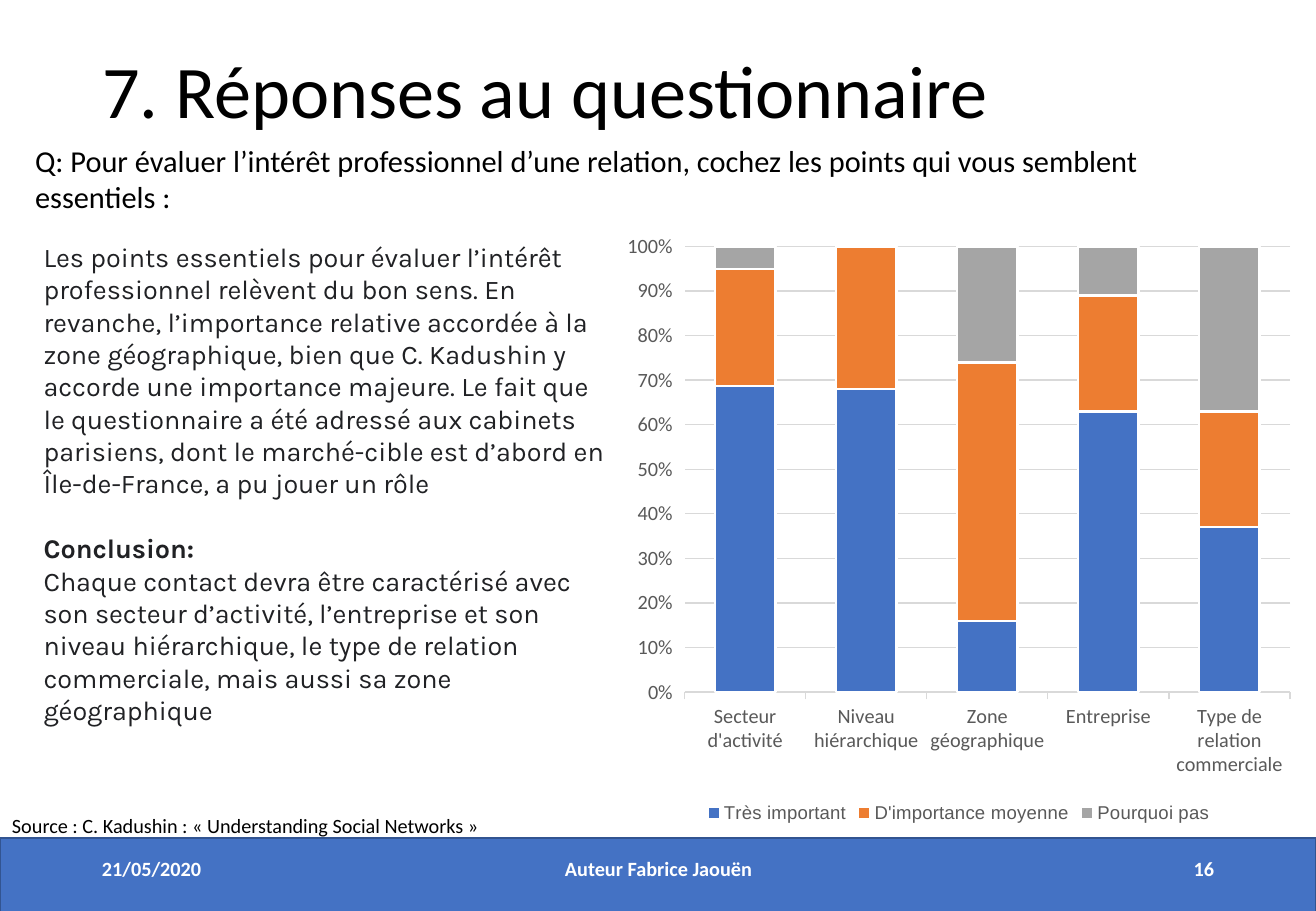
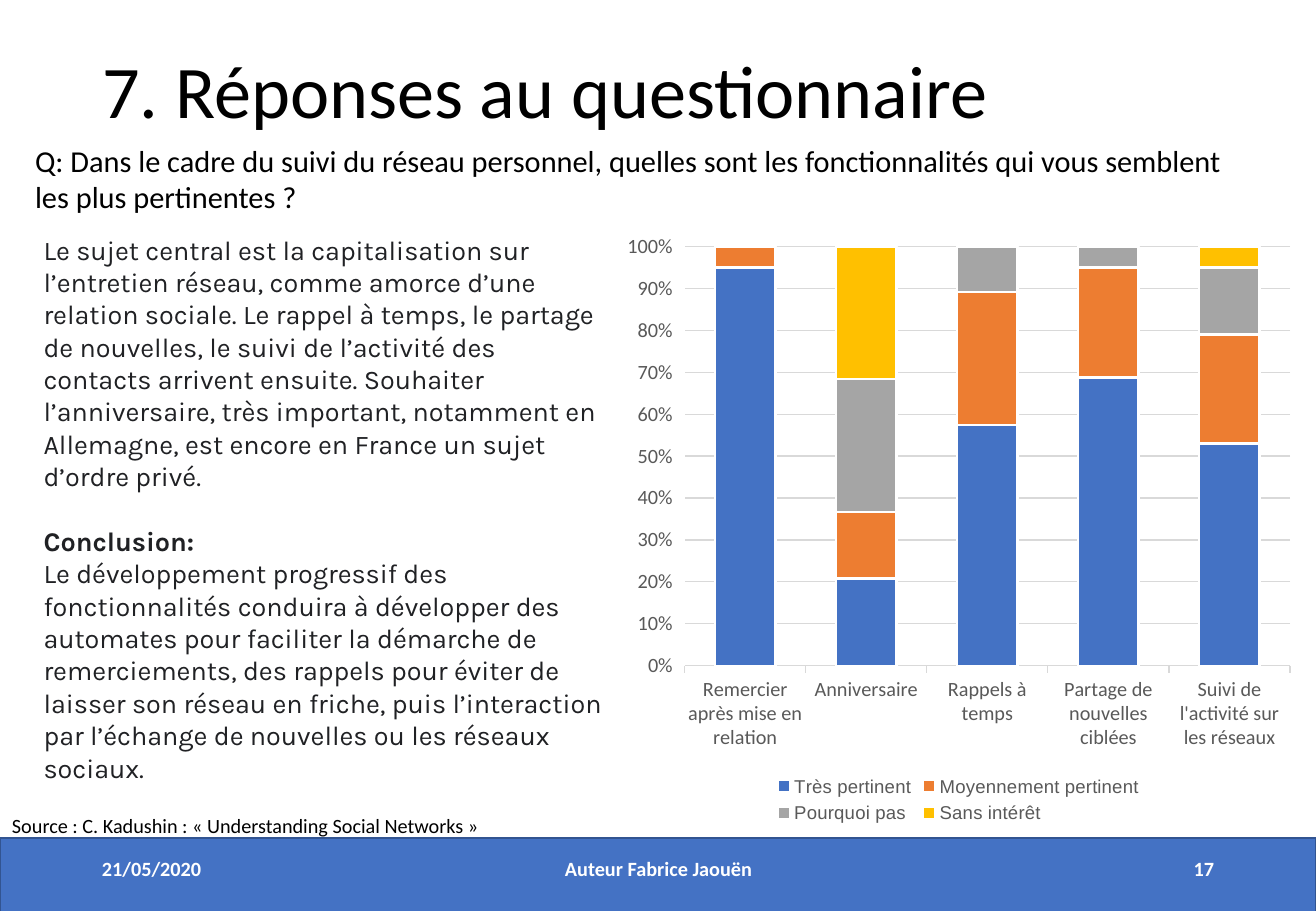
from pptx import Presentation
from pptx.chart.data import CategoryChartData
from pptx.dml.color import RGBColor
from pptx.enum import chart as ch, shapes, text
from pptx.util import Inches, Pt

# Shared style
WHITE = RGBColor(0xFF, 0xFF, 0xFF)
BLACK = RGBColor(0x00, 0x00, 0x00)
BLUE = RGBColor(0x44, 0x72, 0xC4)
NAVY = RGBColor(0x32, 0x54, 0x91)
ORANGE = RGBColor(0xED, 0x7D, 0x31)
GRAY = RGBColor(0xA5, 0xA5, 0xA5)
YELLOW = RGBColor(0xFF, 0xC0, 0x00)
INK = RGBColor(0x20, 0x21, 0x24)
LABEL = RGBColor(0x59, 0x59, 0x59)
GRID = RGBColor(0xD9, 0xD9, 0xD9)
SERIES_COLORS = [BLUE, ORANGE, GRAY, YELLOW]
LEFT, CENTER, RIGHT = text.PP_ALIGN.LEFT, text.PP_ALIGN.CENTER, text.PP_ALIGN.RIGHT

# Content
TITLE = "7. Réponses au questionnaire"
SOURCE = "Source : C. Kadushin : « Understanding Social Networks »"
DATE = "21/05/2020"
AUTHOR = "Auteur Fabrice Jaouën"
FIRST_NUMBER = 16

SLIDES = [
    dict(
        question="Q: Pour évaluer l’intérêt professionnel d’une relation, cochez les points "
                 "qui vous semblent essentiels :",
        body_top=1.93, body_height=3.87,
        analysis="Les points essentiels pour évaluer l’intérêt professionnel relèvent du bon sens. "
                 "En revanche, l’importance relative accordée à la zone géographique, bien que "
                 "C. Kadushin y accorde une importance majeure. Le fait que le questionnaire a été "
                 "adressé aux cabinets parisiens, dont le marché-cible est d’abord en "
                 "Île-de-France, a pu jouer un rôle",
        conclusion="Chaque contact devra être caractérisé avec son secteur d’activité, l’entreprise "
                   "et son niveau hiérarchique, le type de relation commerciale, mais aussi sa "
                   "zone géographique",
        categories=["Secteur d'activité", "Niveau hiérarchique", "Zone géographique",
                    "Entreprise", "Type de relation commerciale"],
        series=[("Très important", [68, 68, 16, 63, 37]),
                ("D'importance moyenne", [26, 32, 58, 26, 26]),
                ("Pourquoi pas", [5, 0, 26, 11, 37])],
    ),
    dict(
        question="Q: Dans le cadre du suivi du réseau personnel, quelles sont les fonctionnalités "
                 "qui vous semblent les plus pertinentes ?",
        body_top=1.87, body_height=4.14,
        analysis="Le sujet central est la capitalisation sur l’entretien réseau, comme amorce d’une "
                 "relation sociale. Le rappel à temps, le partage de nouvelles, le suivi de "
                 "l’activité des contacts arrivent ensuite. Souhaiter l’anniversaire, très "
                 "important, notamment en Allemagne, est encore en France un sujet d’ordre privé.",
        conclusion="Le développement progressif des fonctionnalités conduira à développer des "
                   "automates pour faciliter la démarche de remerciements, des rappels pour éviter "
                   "de laisser son réseau en friche, puis l’interaction par l’échange de nouvelles "
                   "ou les réseaux sociaux.",
        categories=["Remercier après mise en relation", "Anniversaire", "Rappels à temps",
                    "Partage de nouvelles ciblées", "Suivi de l'activité sur les réseaux"],
        series=[("Très pertinent", [95, 21, 58, 68, 53]),
                ("Moyennement pertinent", [5, 16, 32, 26, 26]),
                ("Pourquoi pas", [0, 32, 11, 5, 16]),
                ("Sans intérêt", [0, 32, 0, 0, 5])],
    ),
]


def style(font, size, color, name="Calibri", bold=False):
    font.size, font.name, font.bold = Pt(size), name, bold
    font.color.rgb = color


def add_text(s, box, paragraphs, size, color=BLACK, name="Calibri", bold=False,
             align=LEFT, anchor=text.MSO_ANCHOR.TOP, wrap=True):
    tf = s.shapes.add_textbox(*map(Inches, box)).text_frame
    tf.word_wrap, tf.vertical_anchor = wrap, anchor
    tf.text = "\n".join(paragraphs)
    for p in tf.paragraphs:
        p.alignment = align
        style(p.font, size, color, name, bold)
    return tf


def add_title(s):
    sp = s.shapes.title
    sp.left, sp.top, sp.width, sp.height = map(Inches, (0.74, 0.4, 9.34, 1.45))
    tf = sp.text_frame
    tf.text = TITLE
    tf.auto_size = text.MSO_AUTO_SIZE.NONE
    tf.vertical_anchor = text.MSO_ANCHOR.TOP
    p = tf.paragraphs[0]
    p.alignment, p.line_spacing = LEFT, 0.9
    style(p.font, 44, BLACK)


def add_footer(s, number):
    band = s.shapes.add_shape(shapes.MSO_SHAPE.RECTANGLE, 0, Inches(6.9),
                              Inches(10.83), Inches(0.63))
    band.shadow.inherit = False
    band.fill.solid()
    band.fill.fore_color.rgb = BLUE
    band.line.color.rgb, band.line.width = NAVY, Pt(1)
    for left, width, label, align in [(0.74, 2.44, DATE, LEFT),
                                      (3.59, 3.66, AUTHOR, CENTER),
                                      (7.65, 2.44, str(number), RIGHT)]:
        add_text(s, (left, 6.95, width, 0.4), [label], 12, WHITE, bold=True,
                 align=align, anchor=text.MSO_ANCHOR.MIDDLE)


def add_answers_chart(s, categories, series):
    data = CategoryChartData()
    data.categories = categories
    for name, values in series:
        data.add_series(name, values)
    chart = s.shapes.add_chart(ch.XL_CHART_TYPE.COLUMN_STACKED_100,
                               *map(Inches, (5.05, 1.83, 5.68, 4.99)), data).chart
    style(chart.font, 10, BLACK)
    chart.has_title = False

    # Columns
    plot = chart.plots[0]
    plot.gap_width, plot.overlap, plot.vary_by_categories = 100, 100, False
    for ser, color in zip(plot.series, SERIES_COLORS):
        ser.format.fill.solid()
        ser.format.fill.fore_color.rgb = color
        ser.format.line.color.rgb, ser.format.line.width = WHITE, Pt(1.5)

    # Axes
    cat, val = chart.category_axis, chart.value_axis
    for axis in (cat, val):
        axis.major_tick_mark = ch.XL_TICK_MARK.OUTSIDE
        style(axis.tick_labels.font, 12, LABEL)
    val.has_major_gridlines = True
    for line in (cat.format.line, val.major_gridlines.format.line):
        line.color.rgb, line.width = GRID, Pt(0.75)
    val.format.line.fill.background()
    val.tick_labels.number_format = "0%"
    val.tick_labels.number_format_is_linked = False

    # Legend
    chart.has_legend = True
    chart.legend.position = ch.XL_LEGEND_POSITION.BOTTOM
    chart.legend.include_in_layout = False
    style(chart.legend.font, 11, LABEL, "Arial")


def main():
    prs = Presentation()
    prs.slide_width, prs.slide_height = Inches(10.83), Inches(7.5)
    for number, c in enumerate(SLIDES, FIRST_NUMBER):
        s = prs.slides.add_slide(prs.slide_layouts[5])
        add_footer(s, number)
        add_title(s)
        add_text(s, (0.19, 1.12, 10.05, 0.71), [c["question"]], 18)
        add_answers_chart(s, c["categories"], c["series"])
        tf = add_text(s, (0.26, c["body_top"], 4.82, c["body_height"]),
                      [c["analysis"], "Conclusion:", c["conclusion"]], 16, INK, "Karla")
        heading = tf.paragraphs[1]
        heading.font.bold, heading.space_before = True, Pt(19.2)
        add_text(s, (0, 6.65, 4.09, 0.3), [SOURCE], 12, wrap=False)
    prs.save("out.pptx")


if __name__ == "__main__":
    main()
